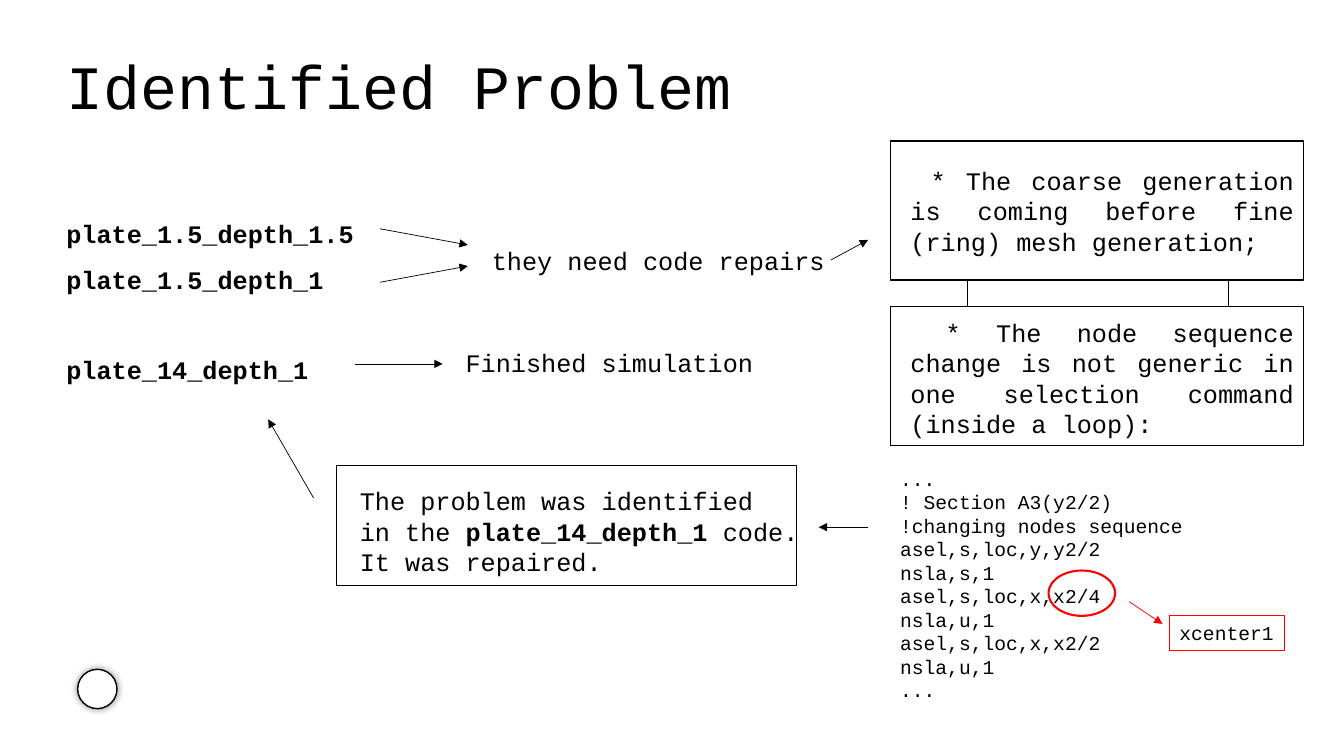
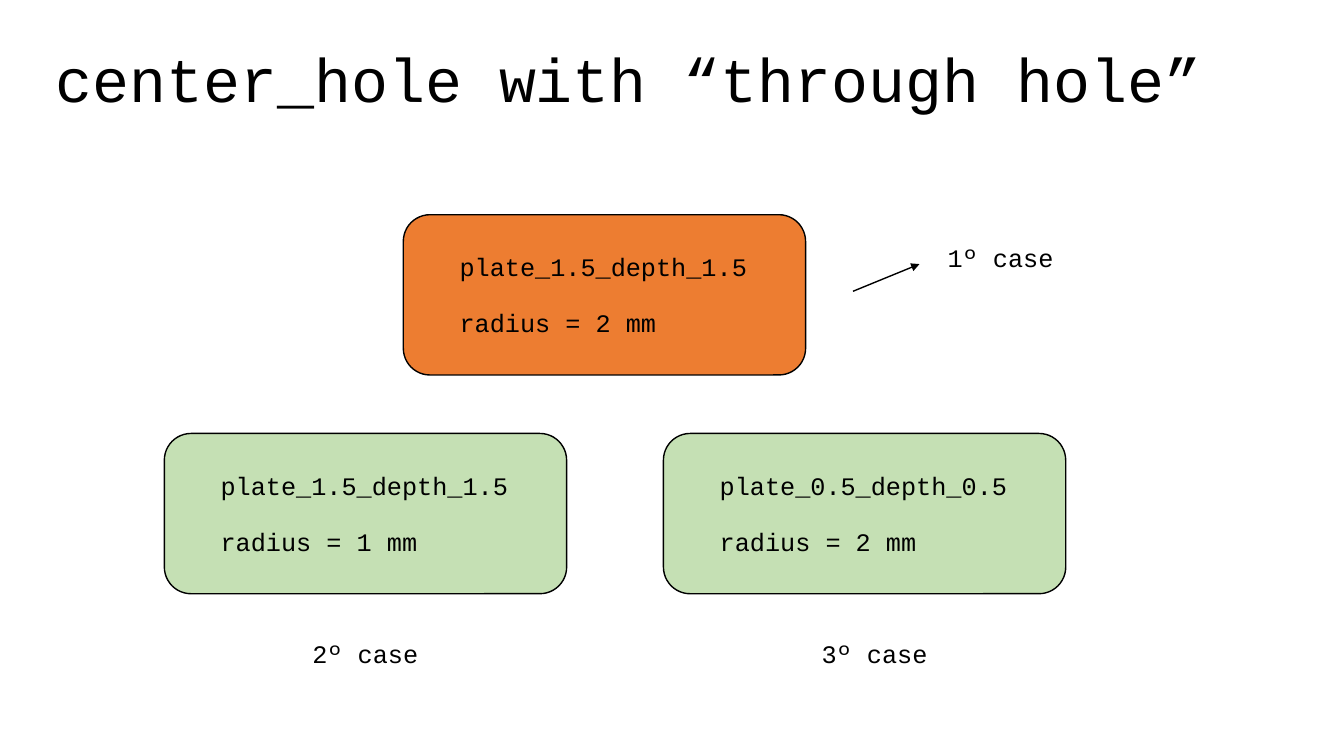
from dataclasses import dataclass

from lxml.etree import SubElement
from pptx import Presentation
from pptx.dml.color import RGBColor
from pptx.enum.shapes import MSO_CONNECTOR as Connector, MSO_SHAPE as Preset
from pptx.enum.text import MSO_ANCHOR as Anchor, MSO_AUTO_SIZE as AutoSize, PP_ALIGN as Align
from pptx.oxml.ns import qn
from pptx.util import Inches, Pt

FONT = "Courier New"
BLACK, WHITE, RED = "000000", "FFFFFF", "FF0000"
ORANGE, GREEN = "ED7D31", "C5E0B4"
TITLE_SIZE, BODY_SIZE, CODE_SIZE = 44, 18, 14
TITLE_ONLY = 5


@dataclass(frozen=True)
class Span:
    text: str
    bold: bool = False


@dataclass(frozen=True)
class Para:
    spans: tuple[Span, ...]
    before: float = 0


@dataclass(frozen=True)
class TextStyle:
    size: float = BODY_SIZE
    align: Align = Align.LEFT
    spacing: float = 1.0


@dataclass(frozen=True)
class Box:
    left: float
    top: float
    width: float
    height: float


@dataclass(frozen=True)
class Insets:
    left: float = 0.1
    top: float = 0.05
    right: float = 0.1


@dataclass(frozen=True)
class Line:
    start: tuple[float, float]
    end: tuple[float, float]
    color: str = BLACK
    weight: float = 0.5
    arrow: bool = True


@dataclass(frozen=True)
class Card:
    left: float
    top: float
    color: str
    lines: tuple[str, str]


BODY = TextStyle()
CODE = TextStyle(size=CODE_SIZE)
JUSTIFIED = TextStyle(align=Align.JUSTIFY)
PLATES = TextStyle(spacing=1.5)


def rgb(color: str) -> RGBColor:
    return RGBColor.from_string(color)


def plain(*lines: str) -> list[Para]:
    return [Para((Span(line),)) for line in lines]


def write(shape, paras: list[Para], style: TextStyle, insets: Insets = Insets()) -> None:
    frame = shape.text_frame
    frame.word_wrap = True
    frame.auto_size = AutoSize.NONE
    frame.vertical_anchor = Anchor.TOP
    frame.margin_left = Inches(insets.left)
    frame.margin_right = Inches(insets.right)
    frame.margin_top = Inches(insets.top)
    frame.margin_bottom = Inches(0)
    for index, item in enumerate(paras):
        para = frame.add_paragraph() if index else frame.paragraphs[0]
        para.alignment = style.align
        para.line_spacing = style.spacing
        para.space_before = Pt(item.before)
        para.font.name = FONT
        para.font.size = Pt(style.size)
        para.font.color.rgb = rgb(BLACK)
        for span in item.spans:
            run = para.add_run()
            run.text = span.text
            if span.bold:
                run.font.bold = True


def place(shape, box: Box) -> None:
    shape.left, shape.top = Inches(box.left), Inches(box.top)
    shape.width, shape.height = Inches(box.width), Inches(box.height)


def add_page(deck, title: str, box: Box):
    page = deck.slides.add_slide(deck.slide_layouts[TITLE_ONLY])
    place(page.shapes.title, box)
    write(page.shapes.title, plain(title), TextStyle(size=TITLE_SIZE, spacing=0.9))
    frame = page.shapes.title.text_frame
    frame.vertical_anchor = Anchor.MIDDLE
    frame.margin_bottom = Inches(0.05)
    return page


def add_text(page, box: Box, paras: list[Para], style: TextStyle = BODY) -> None:
    write(page.shapes.add_textbox(Inches(box.left), Inches(box.top),
                                  Inches(box.width), Inches(box.height)), paras, style)


def add_outline(page, preset: Preset, box: Box, line: str = BLACK,
                fill: str | None = None, weight: float = 1):
    shape = page.shapes.add_shape(preset, Inches(box.left), Inches(box.top),
                                  Inches(box.width), Inches(box.height))
    shape.shadow.inherit = False
    if fill:
        shape.fill.solid()
        shape.fill.fore_color.rgb = rgb(fill)
    else:
        shape.fill.background()
    shape.line.color.rgb = rgb(line)
    shape.line.width = Pt(weight)
    return shape


def add_halo(shape) -> None:
    effects = shape._element.spPr.find(qn("a:effectLst"))
    halo = SubElement(effects, qn("a:outerShdw"), blurRad="63500", sx="102000",
                      sy="102000", algn="ctr", rotWithShape="0")
    color = SubElement(halo, qn("a:prstClr"), val="black")
    SubElement(color, qn("a:alpha"), val="40000")


def add_line(page, line: Line) -> None:
    points = [Inches(value) for value in (*line.start, *line.end)]
    connector = page.shapes.add_connector(Connector.STRAIGHT, *points)
    connector.line.color.rgb = rgb(line.color)
    connector.line.width = Pt(line.weight)
    if line.arrow:
        SubElement(connector.line._get_or_add_ln(), qn("a:tailEnd"), type="triangle")
    SubElement(connector._element.spPr, qn("a:effectLst"))


def add_card(page, card: Card) -> None:
    box = Box(card.left, card.top, 3.99, 1.59)
    shape = add_outline(page, Preset.ROUNDED_RECTANGLE, box, fill=card.color)
    name, radius = card.lines
    write(shape, [Para((Span(name),)), Para((Span(radius),), before=18)],
          BODY, Insets(left=0.48, top=0.29, right=0))


def build_problem(deck) -> None:
    page = add_page(deck, "Identified Problem", Box(0.56, 0.16, 11.5, 1.45))

    add_text(page, Box(0.56, 1.97, 3.2, 1.92), [
        Para((Span("plate_1.5_depth_1.5", True),)),
        Para((Span("plate_1.5_depth_1", True),)),
        Para((Span("plate_14_depth_1", True),), before=32),
    ], PLATES)
    add_text(page, Box(4.78, 2.38, 3.7, 0.4), plain("they need code repairs"))
    add_text(page, Box(4.52, 3.4, 3.2, 0.4), plain("Finished simulation"))

    findings = (
        (1.4, 0.24, " * The coarse generation is coming before fine (ring) mesh generation;"),
        (3.04, 0.11, " * The node sequence change is not generic in one selection command "
                     "(inside a loop):"),
    )
    for top, inset, text in findings:
        shape = add_outline(page, Preset.RECTANGLE, Box(8.83, top, 4.1, 1.38), fill=WHITE)
        write(shape, plain(text), JUSTIFIED, Insets(left=0.2, top=inset))

    add_outline(page, Preset.RECTANGLE, Box(3.34, 4.62, 4.56, 1.19))
    add_text(page, Box(3.47, 4.77, 4.8, 1.01), [
        Para((Span("The problem was identified"),)),
        Para((Span("in the "), Span("plate_14_depth_1", True), Span(" code."))),
        Para((Span("It was repaired."),)),
    ])

    add_text(page, Box(8.83, 4.58, 3.03, 2.46), plain(
        "...",
        "! Section A3(y2/2)",
        "!changing nodes sequence",
        "asel,s,loc,y,y2/2",
        "nsla,s,1",
        "asel,s,loc,x,x2/4",
        "nsla,u,1",
        "asel,s,loc,x,x2/2",
        "nsla,u,1",
        "...",
    ), CODE)
    add_outline(page, Preset.OVAL, Box(10.4, 5.66, 0.66, 0.45), line=RED, weight=1.5)
    fix = add_outline(page, Preset.RECTANGLE, Box(11.6, 6.11, 1.14, 0.34),
                      line=RED, weight=0.75)
    write(fix, plain("xcenter1"), CODE, Insets(right=0))

    for line in (
        Line((9.59, 2.78), (9.59, 3.04), arrow=False),
        Line((12.18, 2.78), (12.18, 3.04), arrow=False),
        Line((3.77, 2.27), (4.64, 2.43)),
        Line((3.77, 2.8), (4.64, 2.64)),
        Line((8.24, 2.58), (8.61, 2.38)),
        Line((3.52, 3.61), (4.39, 3.61)),
        Line((3.11, 4.94), (2.66, 4.16)),
        Line((8.61, 5.23), (8.12, 5.23)),
        Line((11.2, 5.97), (11.53, 6.19), color=RED),
    ):
        add_line(page, line)

    add_halo(add_outline(page, Preset.OVAL, Box(0.77, 6.64, 0.39, 0.39), fill=WHITE))


def build_cases(deck) -> None:
    page = add_page(deck, "center_hole with “through hole”", Box(0.45, 0.09, 12.33, 1.45))
    for card in (
        Card(4, 2.13, ORANGE, ("plate_1.5_depth_1.5", "radius = 2 mm")),
        Card(1.63, 4.3, GREEN, ("plate_1.5_depth_1.5", "radius = 1 mm")),
        Card(6.58, 4.3, GREEN, ("plate_0.5_depth_0.5", "radius = 2 mm")),
    ):
        add_card(page, card)
    for left, top, label in ((9.3, 2.35, "1º case"), (3, 6.28, "2º case"),
                             (8.05, 6.28, "3º case")):
        add_text(page, Box(left, top, 1.4, 0.4), plain(label))
    add_line(page, Line((8.46, 2.89), (9.12, 2.62), weight=1))


def main() -> None:
    deck = Presentation()
    deck.slide_width, deck.slide_height = Inches(13.33), Inches(7.5)
    build_problem(deck)
    build_cases(deck)
    deck.save("out.pptx")


if __name__ == "__main__":
    main()
